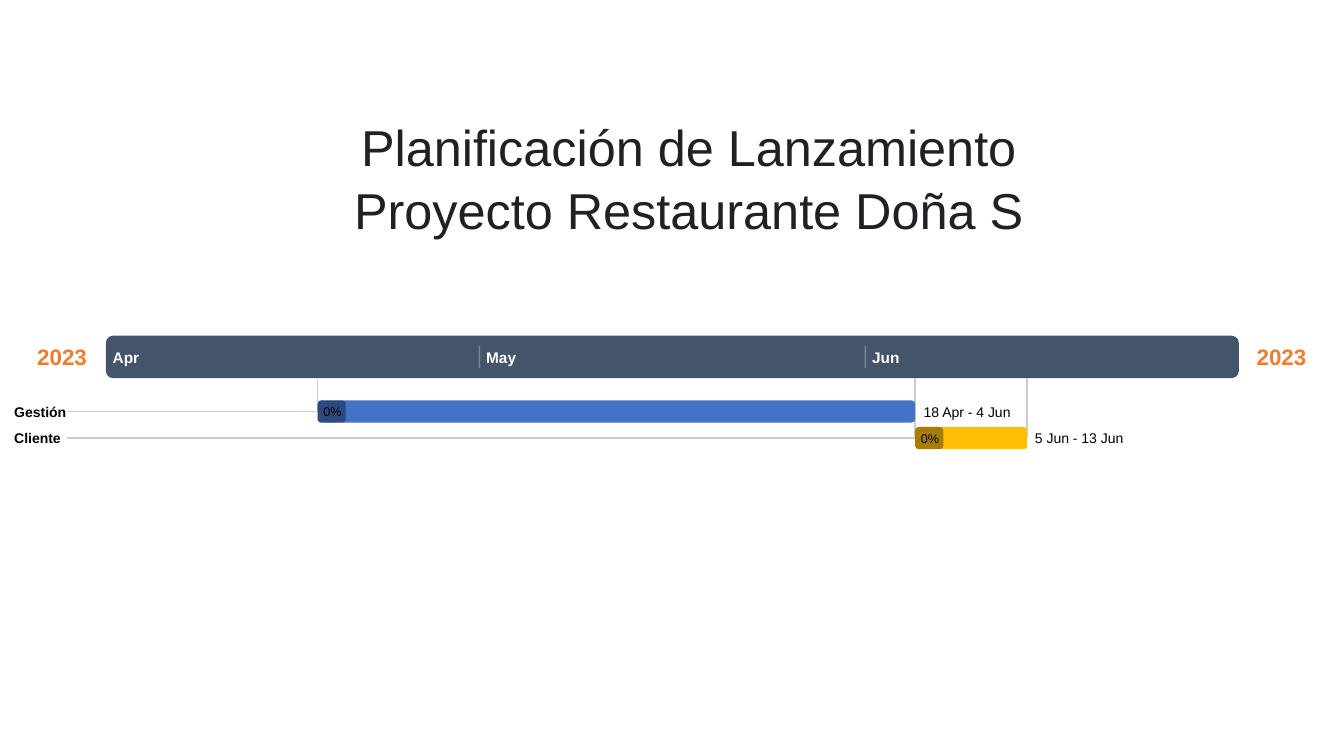
from dataclasses import dataclass

from lxml import etree
from pptx import Presentation
from pptx.dml.color import RGBColor
from pptx.enum import shapes, text
from pptx.oxml import ns
from pptx.util import Cm, Pt


@dataclass(frozen=True)
class Theme:
    font: str = "Arial"
    ink: str = "000000"
    white: str = "FFFFFF"
    title: str = "202124"
    year: str = "ED7D31"
    band: str = "44546A"
    guide: str = "CCCCCC"
    blue: str = "4472C4"
    gold: str = "FFBF04"
    big: int = 36
    mid: int = 16
    month: int = 11
    label: int = 10
    small: int = 9


@dataclass(frozen=True)
class Month:
    name: str
    day: int
    width: float


@dataclass(frozen=True)
class Task:
    name: str
    start: int
    end: int
    dates: str
    color: str


THEME = Theme()
LEFT, TOP, WIDTH, HEIGHT = 2.67, 8.46, 28.55, 1.07
DAYS = 91  # 1 April to 30 June
MONTHS = [Month("Apr", 0, 0.69), Month("May", 30, 1.02), Month("Jun", 61, 1.02)]
TASKS = [
    Task("Gestión", 17, 65, "18 Apr - 4 Jun", THEME.blue),
    Task("Cliente", 65, 74, "5 Jun - 13 Jun", THEME.gold),
]
ROW, STEP, THICK = 10.09, 0.67, 0.56
DONE = 0.71
ALIGN = text.PP_ALIGN

deck = Presentation()
deck.slide_width, deck.slide_height = Cm(33.87), Cm(19.05)
slide = deck.slides.add_slide(deck.slide_layouts[5])


def day_x(day: int) -> float:
    return LEFT + day * WIDTH / DAYS


def fade(fill, alpha: int) -> None:
    color = fill.find(".//" + ns.qn("a:srgbClr"))
    etree.SubElement(color, ns.qn("a:alpha"), val=str(alpha * 1000))


def style(run, size: int, color: str, bold: bool = False) -> None:
    run.font.name = THEME.font
    run.font.size = Pt(size)
    run.font.bold = bold
    run.font.color.rgb = RGBColor.from_string(color)


def trim(frame) -> None:
    frame.margin_left = frame.margin_right = 0
    frame.margin_top = frame.margin_bottom = 0


def label(words: str, x: float, mid: float, w: float, h: float, size: int,
          color: str, bold: bool = False, align=ALIGN.LEFT) -> None:
    box = slide.shapes.add_textbox(Cm(x), Cm(mid - h / 2), Cm(w), Cm(h))
    frame = box.text_frame
    trim(frame)
    frame.word_wrap = False
    frame.vertical_anchor = text.MSO_ANCHOR.MIDDLE
    para = frame.paragraphs[0]
    para.alignment = align
    run = para.add_run()
    run.text = words
    style(run, size, color, bold)


def bar(x: float, y: float, w: float, h: float, color: str, alpha: int = 100) -> None:
    shape = slide.shapes.add_shape(
        shapes.MSO_SHAPE.ROUNDED_RECTANGLE, Cm(x), Cm(y), Cm(w), Cm(h))
    shape.shadow.inherit = False
    shape.fill.solid()
    shape.fill.fore_color.rgb = RGBColor.from_string(color)
    shape.line.fill.background()
    if alpha < 100:
        fade(shape._element.spPr, alpha)


def line(x1: float, y1: float, x2: float, y2: float, color: str, alpha: int = 100) -> None:
    link = slide.shapes.add_connector(
        shapes.MSO_CONNECTOR.STRAIGHT, Cm(x1), Cm(y1), Cm(x2), Cm(y2))
    link.line.width = Pt(1)
    link.line.color.rgb = RGBColor.from_string(color)
    props = link._element.spPr
    if alpha < 100:
        fade(props, alpha)
    etree.SubElement(props, ns.qn("a:effectLst"))


def draw_title() -> None:
    title = slide.shapes.title
    title.left, title.top = Cm(8.89), Cm(2.84)
    title.width, title.height = Cm(16.94), Cm(2.92)
    frame = title.text_frame
    trim(frame)
    frame.word_wrap = True
    frame.auto_size = text.MSO_AUTO_SIZE.NONE
    frame.vertical_anchor = text.MSO_ANCHOR.TOP
    para = frame.paragraphs[0]
    para.alignment = ALIGN.CENTER
    para.line_spacing = 1.05
    for i, words in enumerate(["Planificación de Lanzamiento", "Proyecto Restaurante Doña S"]):
        if i:
            para.add_line_break()
        run = para.add_run()
        run.text = words
        style(run, THEME.big, THEME.title)


def draw_scale() -> None:
    mid = TOP + HEIGHT / 2
    for x in (0.89, 31.62):
        label("2023", x, mid, 1.35, 0.66, THEME.mid, THEME.year, True, ALIGN.CENTER)
    bar(LEFT, TOP, WIDTH, HEIGHT, THEME.band)
    for month in MONTHS:
        x = day_x(month.day)
        if month.day:
            line(x, mid - 0.28, x, mid + 0.28, THEME.white, 30)
        label(month.name, x + 0.17, mid, month.width, 0.46, THEME.month, THEME.white, True)


def draw_tasks() -> None:
    mids = [ROW + i * STEP + THICK / 2 for i in range(len(TASKS))]
    # Guides lie behind the bars
    for task, mid in zip(TASKS, mids):
        line(1.7, mid, day_x(task.start), mid, THEME.guide)
    for day, mid in ((17, mids[0]), (65, mids[1]), (74, mids[1])):
        line(day_x(day), TOP + HEIGHT, day_x(day), mid, THEME.guide)
    # Bars, progress and labels
    for task, mid in zip(TASKS, mids):
        x, end = day_x(task.start), day_x(task.end)
        bar(x, mid - THICK / 2, end - x, THICK, task.color)
        bar(x, mid - THICK / 2, DONE, THICK, THEME.ink, 35)
        label(task.dates, end + 0.13, mid, 2.36, 0.41, THEME.label, THEME.ink,
              align=ALIGN.CENTER)
        label("0%", x + 0.03, mid, 0.69, 0.36, THEME.small, THEME.ink, align=ALIGN.CENTER)
        label(task.name, 0.36, mid, 1.35, 0.41, THEME.label, THEME.ink, True)


draw_scale()
draw_tasks()
draw_title()
deck.save("out.pptx")
